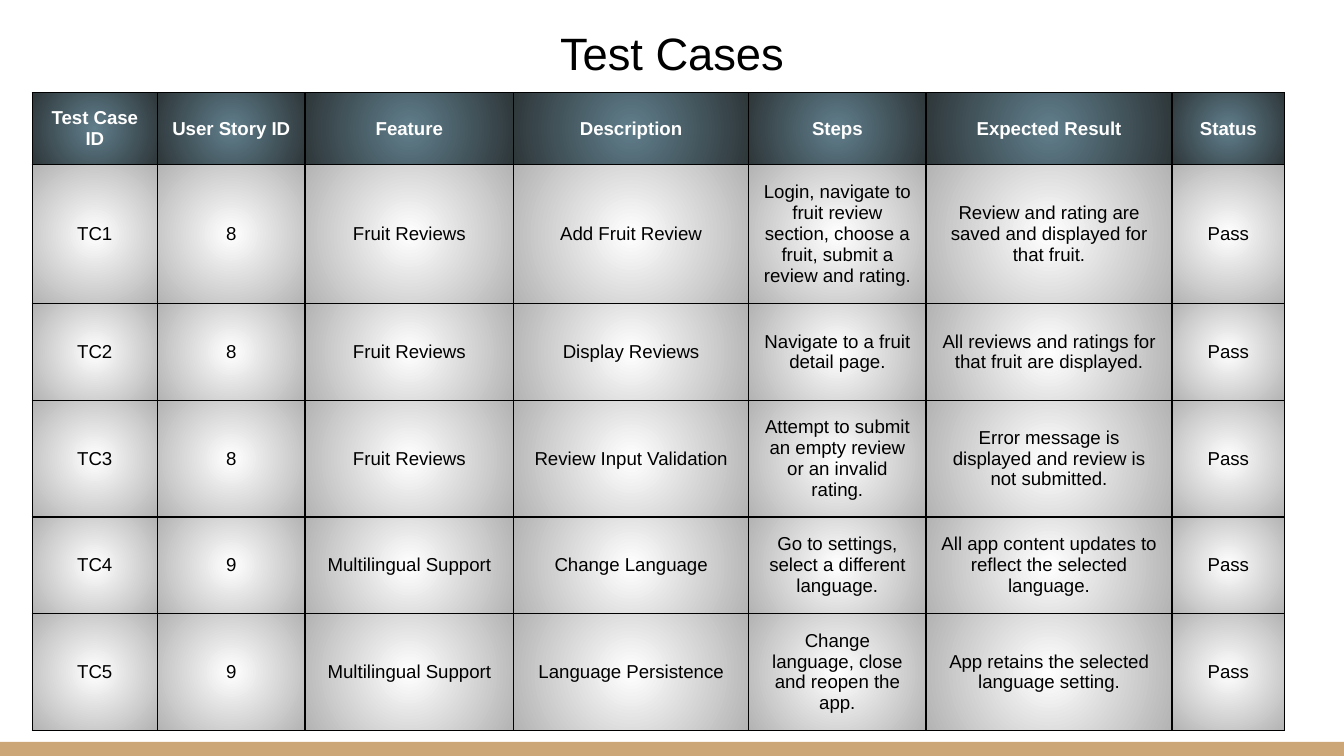
from pptx import Presentation
from pptx.dml.color import RGBColor
from pptx.enum.shapes import MSO_SHAPE
from pptx.enum.text import MSO_ANCHOR, PP_ALIGN
from pptx.oxml import parse_xml
from pptx.oxml.ns import nsdecls
from pptx.util import Inches, Pt

BLACK = RGBColor(0x00, 0x00, 0x00)
WHITE = RGBColor(0xFF, 0xFF, 0xFF)
TAN = RGBColor(0xCC, 0xA6, 0x77)
SLATE = RGBColor(0x60, 0x7E, 0x8B)
DARK_SLATE = RGBColor(0x2E, 0x37, 0x3A)
GRAY = RGBColor(0xB3, 0xB3, 0xB3)

COLS = [0.93, 1.1, 1.55, 1.75, 1.32, 1.83, 0.84]
ROWS = [0.52, 1.01, 0.72, 0.85, 0.72, 0.85]
CELLS = [
    ["Test Case ID", "User Story ID", "Feature", "Description", "Steps",
     "Expected Result", "Status"],
    ["TC1", "8", "Fruit Reviews", "Add Fruit Review",
     "Login, navigate to fruit review section, choose a fruit, submit a review and rating.",
     "Review and rating are saved and displayed for that fruit.", "Pass"],
    ["TC2", "8", "Fruit Reviews", "Display Reviews",
     "Navigate to a fruit detail page.",
     "All reviews and ratings for that fruit are displayed.", "Pass"],
    ["TC3", "8", "Fruit Reviews", "Review Input Validation",
     "Attempt to submit an empty review or an invalid rating.",
     "Error message is displayed and review is not submitted.", "Pass"],
    ["TC4", "9", "Multilingual Support", "Change Language",
     "Go to settings, select a different language.",
     "All app content updates to reflect the selected language.", "Pass"],
    ["TC5", "9", "Multilingual Support", "Language Persistence",
     "Change language, close and reopen the app.",
     "App retains the selected language setting.", "Pass"],
]


def set_text(tf, text, size, color, bold=False):
    tf.text = text
    p = tf.paragraphs[0]
    p.alignment = PP_ALIGN.CENTER
    for r in p.runs:
        r.font.name = "Arial"
        r.font.size = Pt(size)
        r.font.bold = bold
        r.font.color.rgb = color


def style_cell(cell, inner, outer):
    tcPr = cell._tc.get_or_add_tcPr()
    for side in ("lnL", "lnR", "lnT", "lnB"):
        tcPr.append(parse_xml(
            f'<a:{side} {nsdecls("a")} w="{Pt(0.75)}"><a:solidFill>'
            f'<a:srgbClr val="{BLACK}"/></a:solidFill></a:{side}>'))
    tcPr.append(parse_xml(
        f'<a:gradFill {nsdecls("a")}><a:gsLst>'
        f'<a:gs pos="0"><a:srgbClr val="{inner}"/></a:gs>'
        f'<a:gs pos="100000"><a:srgbClr val="{outer}"/></a:gs></a:gsLst>'
        '<a:path path="circle"><a:fillToRect l="50000" t="50000" r="50000" b="50000"/>'
        '</a:path></a:gradFill>'))


prs = Presentation()
prs.slide_width = Inches(10)
prs.slide_height = Inches(10) * 9 // 16
s = prs.slides.add_slide(prs.slide_layouts[6])

bar = s.shapes.add_shape(MSO_SHAPE.RECTANGLE, Inches(0), Inches(5.52), Inches(10), Inches(0.11))
bar.shadow.inherit = False
bar.fill.solid()
bar.fill.fore_color.rgb = TAN
bar.line.fill.background()

title = s.shapes.add_textbox(Inches(0.34), Inches(0), Inches(9.32), Inches(0.69))
tf = title.text_frame
tf.word_wrap = True
tf.vertical_anchor = MSO_ANCHOR.BOTTOM
tf.margin_left = tf.margin_right = tf.margin_top = tf.margin_bottom = Inches(0.1)
set_text(tf, "Test Cases", 24.3, BLACK)

frame = s.shapes.add_table(len(ROWS), len(COLS), Inches(0.24), Inches(0.69),
                           Inches(3.28), Inches(3.28))
table = frame.table
table.first_row = False
table.horz_banding = False
for column, width in zip(table.columns, COLS):
    column.width = Inches(width)
for row, height in zip(table.rows, ROWS):
    row.height = Inches(height)
frame.width = frame.height = Inches(3.28)

for i, texts in enumerate(CELLS):
    header = i == 0
    for j, text in enumerate(texts):
        cell = table.cell(i, j)
        cell.vertical_anchor = MSO_ANCHOR.MIDDLE
        cell.margin_left = cell.margin_right = Inches(0.1)
        cell.margin_top = cell.margin_bottom = Inches(0.1)
        set_text(cell.text_frame, text, 10, WHITE if header else BLACK, header)
        style_cell(cell, SLATE if header else WHITE, DARK_SLATE if header else GRAY)

prs.save("out.pptx")
